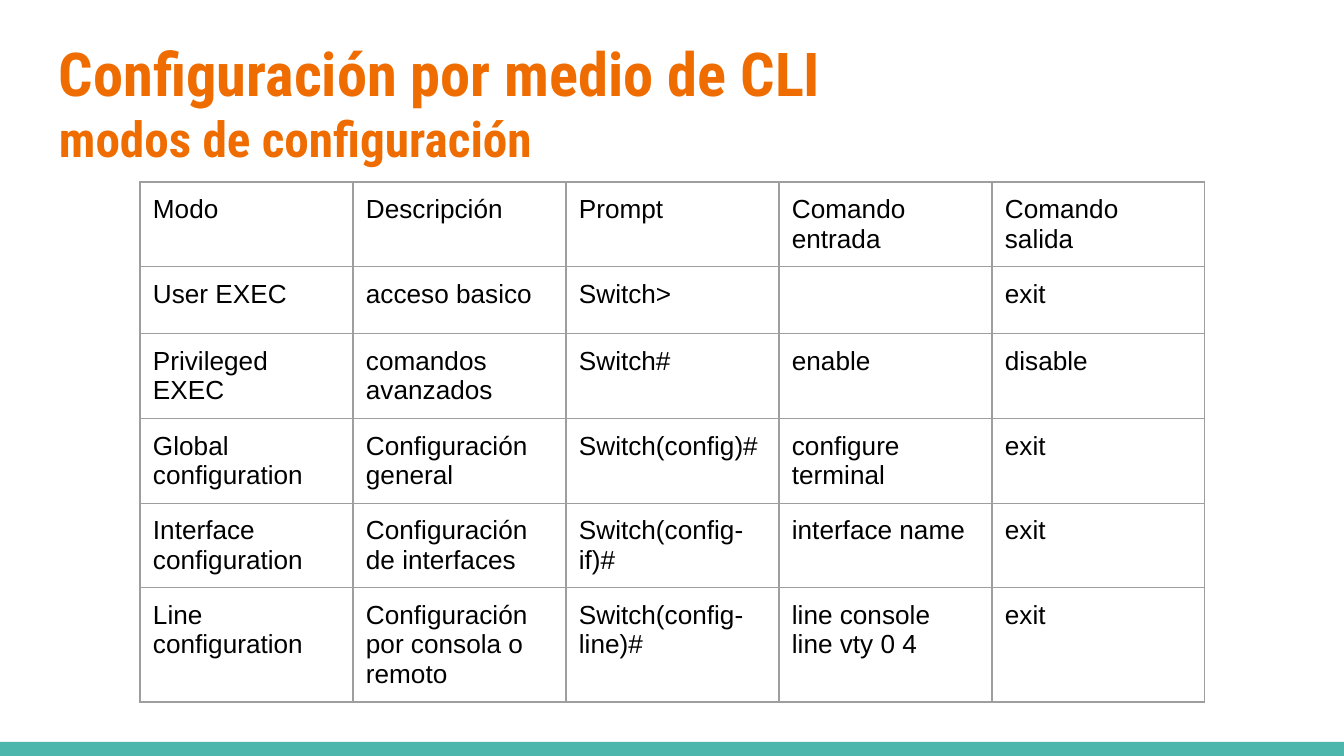
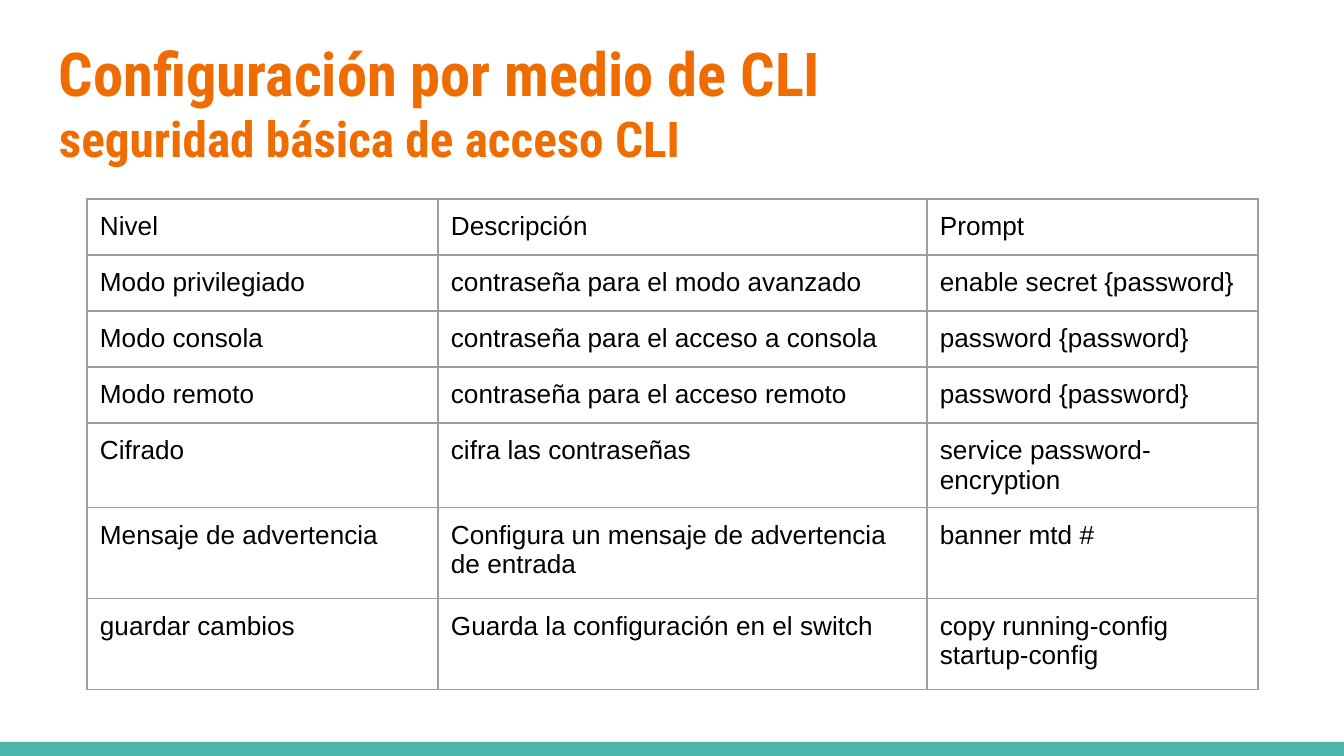
from lxml import etree
from pptx import Presentation, util as u
from pptx.dml import color
from pptx.enum import shapes, text
from pptx.oxml import ns

EMU_PER_PX = 914400 / 134.4
SLIDE_SIZE = (1344, 756)
TITLE_BOX = (46, 23, 1252, 149)
BAND_BOX = (0, 742, 1344, 14)
INSET = 13
ORANGE, TEAL, GRAY, BLACK = "EF6C00", "4DB6AC", "9E9E9E", "000000"
HEADING = "Configuración por medio de CLI"
HEADING_FONT = {"name": "Roboto Condensed", "bold": True}
CELL_FONT = {"name": "Arial", "size": u.Pt(14)}
MARGINS = ("margin_left", "margin_top", "margin_right", "margin_bottom")

MODES = {
    "subtitle": "modos de configuración",
    "origin": (140, 182),
    "widths": [213] * 5,
    "heights": [56] * 6,
    "rows": [
        ("Modo", "Descripción", "Prompt", "Comando entrada", "Comando salida"),
        ("User EXEC", "acceso basico", "Switch>", "", "exit"),
        ("Privileged EXEC", "comandos avanzados", "Switch#", "enable", "disable"),
        ("Global configuration", "Configuración general", "Switch(config)#",
         "configure terminal", "exit"),
        ("Interface configuration", "Configuración de interfaces",
         "Switch(config-if)#", "interface name", "exit"),
        ("Line configuration", "Configuración por consola o remoto",
         "Switch(config-line)#", "line console\nline vty 0 4", "exit"),
    ],
}
SECURITY = {
    "subtitle": "seguridad básica de acceso CLI",
    "origin": (87, 199),
    "widths": [351, 489, 331],
    "heights": [56] * 5 + [91] * 2,
    "rows": [
        ("Nivel", "Descripción", "Prompt"),
        ("Modo privilegiado", "contraseña para el modo avanzado",
         "enable secret {password}"),
        ("Modo consola", "contraseña para el acceso a consola",
         "password {password}"),
        ("Modo remoto", "contraseña para el acceso remoto",
         "password {password}"),
        ("Cifrado", "cifra las contraseñas", "service password-encryption"),
        ("Mensaje de advertencia",
         "Configura un mensaje de advertencia de entrada", "banner mtd #"),
        ("guardar cambios", "Guarda la configuración en el switch",
         "copy running-config startup-config"),
    ],
}


def px(length):
    """Turn pixels into EMU."""
    return u.Emu(round(length * EMU_PER_PX))


def rgb(code):
    """Turn a hex string into a colour."""
    return color.RGBColor.from_string(code)


def assign(target, values):
    """Set each named attribute of the target."""
    for name, value in values.items():
        setattr(target, name, value)


def style_text(frame, font, ink):
    """Format every run of a text frame."""
    for paragraph in frame.paragraphs:
        for run in paragraph.runs:
            assign(run.font, font)
            run.font.color.rgb = rgb(ink)


def add_heading(slide, box, subtitle):
    """Fill and place the two-line title."""
    title = slide.shapes.title
    assign(title, dict(zip(("left", "top", "width", "height"), map(px, box))))
    frame = title.text_frame
    frame.text = f"{HEADING}\n{subtitle}"
    assign(frame, {
        "word_wrap": True,
        "auto_size": text.MSO_AUTO_SIZE.NONE,
        "vertical_anchor": text.MSO_ANCHOR.TOP,
        **dict.fromkeys(MARGINS, px(INSET)),
    })
    style_text(frame, HEADING_FONT, ORANGE)
    for paragraph, size in zip(frame.paragraphs, (32.4, 26.4)):
        paragraph.alignment = text.PP_ALIGN.LEFT
        paragraph.runs[0].font.size = u.Pt(size)


def add_band(slide, box):
    """Draw the band along the foot of the slide."""
    band = slide.shapes.add_shape(shapes.MSO_SHAPE.RECTANGLE, *map(px, box))
    band.shadow.inherit = False
    band.fill.solid()
    band.fill.fore_color.rgb = rgb(TEAL)
    band.line.fill.background()


def add_borders(cell):
    """Outline a cell with thin lines, ahead of its fill."""
    properties = cell._tc.get_or_add_tcPr()
    for index, side in enumerate(("a:lnL", "a:lnR", "a:lnT", "a:lnB")):
        line = etree.Element(ns.qn(side), w=str(u.Pt(0.75)))
        fill = etree.SubElement(line, ns.qn("a:solidFill"))
        etree.SubElement(fill, ns.qn("a:srgbClr"), val=GRAY)
        properties.insert(index, line)


def add_grid(slide, origin, widths, heights, rows):
    """Add a bordered table with its top left corner at the origin."""
    box = (*origin, sum(widths), sum(heights))
    grid = slide.shapes.add_table(len(rows), len(widths), *map(px, box)).table
    assign(grid, {"first_row": False, "horz_banding": False})
    for column, width in zip(grid.columns, widths):
        column.width = px(width)
    for row, height, entries in zip(grid.rows, heights, rows):
        row.height = px(height)
        for cell, entry in zip(row.cells, entries):
            assign(cell, dict.fromkeys(MARGINS, px(INSET)))
            cell.fill.background()
            add_borders(cell)
            if entry:
                cell.text = entry
                style_text(cell.text_frame, CELL_FONT, BLACK)


def add_table_slide(deck, subtitle, **grid):
    """Add a slide with a heading, a table and the foot band."""
    slide = deck.slides.add_slide(deck.slide_layouts[5])
    add_band(slide, BAND_BOX)
    add_heading(slide, TITLE_BOX, subtitle)
    add_grid(slide, **grid)


def main():
    """Build and save the deck."""
    deck = Presentation()
    assign(deck, dict(zip(("slide_width", "slide_height"), map(px, SLIDE_SIZE))))
    for content in (MODES, SECURITY):
        add_table_slide(deck, **content)
    deck.save("out.pptx")


if __name__ == "__main__":
    main()
